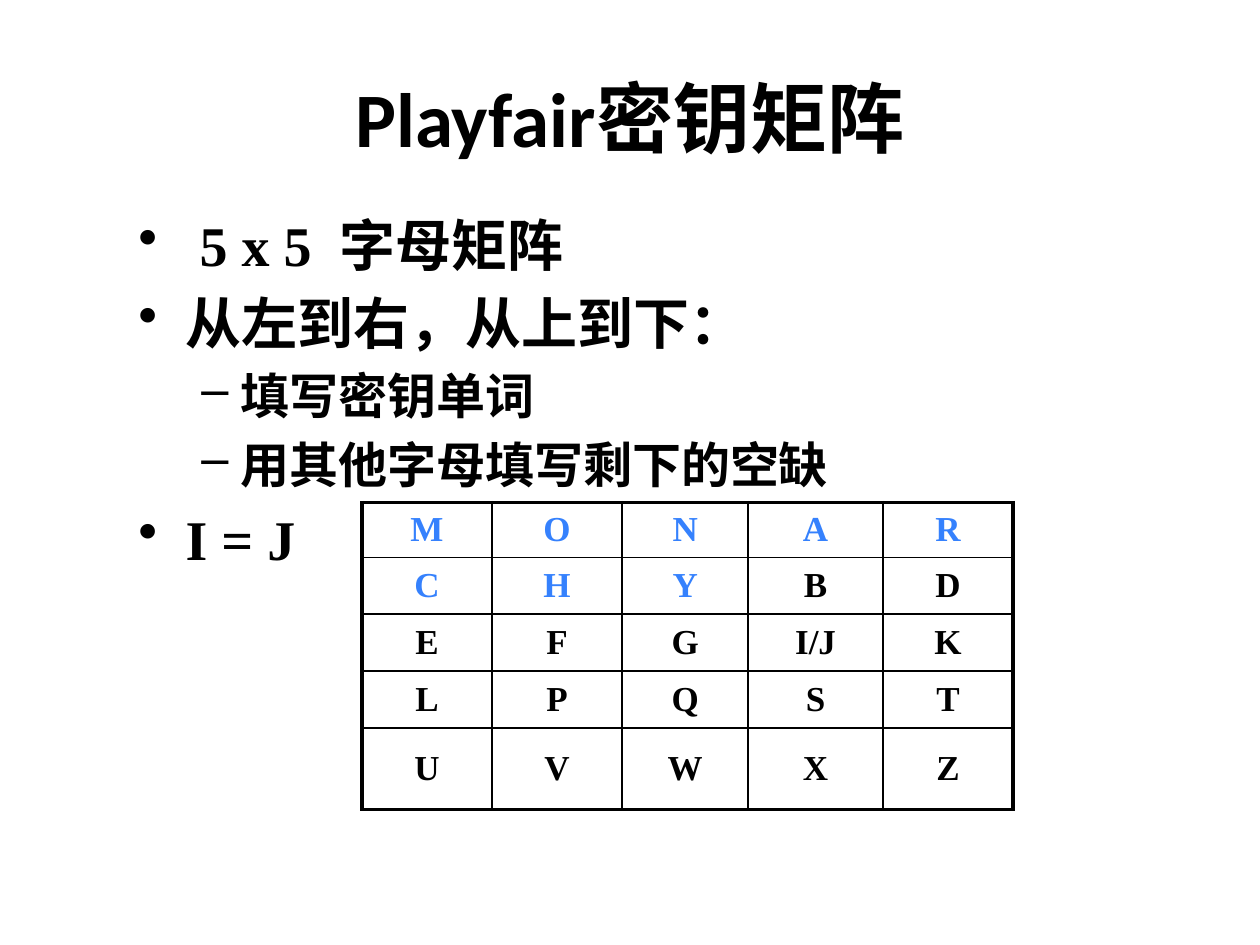
from dataclasses import dataclass

from lxml import etree
from pptx import Presentation
from pptx import util as u
from pptx.dml.color import RGBColor
from pptx.enum import text
from pptx.oxml import ns


@dataclass(frozen=True)
class Theme:
    ink: str = "000000"
    key: str = "3581FD"
    head: str = "Calibri"
    body: str = "Times New Roman"
    title: int = 44
    main: int = 32
    sub: int = 28
    cell: int = 20
    thin: float = 1
    thick: float = 2.25


def node(base, tag, **attrs):
    return etree.SubElement(base, ns.qn(tag), attrs)


class Deck:
    def __init__(self, theme):
        self.theme = theme
        self.file = Presentation()
        self.file.slide_width = u.Pt(720)
        self.file.slide_height = u.Pt(540)
        self.slide = self.file.slides.add_slide(self.file.slide_layouts[6])

    def box(self, left, top, width, height):
        shape = self.slide.shapes.add_textbox(*map(u.Pt, (left, top, width, height)))
        shape.text_frame.word_wrap = True
        return shape.text_frame

    def run(self, para, words, size, face, color):
        run = para.add_run()
        run.text = words
        run.font.size = u.Pt(size)
        run.font.name = face
        run.font.bold = True
        run.font.color.rgb = RGBColor.from_string(color)

    def space(self, para):
        props = para._p.get_or_add_pPr()
        node(node(props, "a:spcBef"), "a:spcPct", val="20000")
        return props

    def title(self, words, area):
        frame = self.box(*area)
        frame.vertical_anchor = text.MSO_ANCHOR.MIDDLE
        para = frame.paragraphs[0]
        para.alignment = text.PP_ALIGN.CENTER
        self.run(para, words, self.theme.title, self.theme.head, self.theme.ink)

    def bullets(self, items, area):
        t = self.theme
        styles = ((27, 27, "•", t.main), (58.5, 22.5, "–", t.sub))
        frame = self.box(*area)
        for n, (level, words) in enumerate(items):
            para = frame.add_paragraph() if n else frame.paragraphs[0]
            para.level = level
            left, hang, mark, size = styles[level]
            props = self.space(para)
            props.set("marL", str(u.Pt(left)))
            props.set("indent", str(-u.Pt(hang)))
            node(props, "a:buChar", char=mark)
            self.run(para, words, size, t.body, t.ink)

    def edge(self, props, side, width):
        line = node(props, "a:ln" + side, w=str(u.Pt(width)))
        node(node(line, "a:solidFill"), "a:srgbClr", val=self.theme.ink)

    def cell(self, cell, words, color, outer):
        t = self.theme
        props = cell._tc.get_or_add_tcPr()
        for side, rim in zip("LRTB", outer):
            self.edge(props, side, t.thick if rim else t.thin)
        cell.fill.background()
        cell.vertical_anchor = text.MSO_ANCHOR.MIDDLE
        para = cell.text_frame.paragraphs[0]
        para.alignment = text.PP_ALIGN.CENTER
        self.space(para)
        self.run(para, words, t.cell, t.body, color)

    def matrix(self, grid, key, left, top, cols, rows):
        area = map(u.Pt, (left, top, sum(cols), sum(rows)))
        table = self.slide.shapes.add_table(len(rows), len(cols), *area).table
        table.first_row = table.horz_banding = False
        for col, width in zip(table.columns, cols):
            col.width = u.Pt(width)
        for row, height in zip(table.rows, rows):
            row.height = u.Pt(height)
        for r, line in enumerate(grid):
            for c, words in enumerate(line):
                color = self.theme.key if words in key else self.theme.ink
                outer = (c == 0, c == len(cols) - 1, r == 0, r == len(rows) - 1)
                self.cell(table.cell(r, c), words, color, outer)


def main():
    deck = Deck(Theme())
    deck.title("Playfair密钥矩阵", (36, 21.6, 648, 90))
    deck.bullets(
        (
            (0, " 5 x 5  字母矩阵"),
            (0, "从左到右，从上到下："),
            (1, "填写密钥单词"),
            (1, "用其他字母填写剩下的空缺"),
            (0, "I = J"),
        ),
        (72, 116.6, 648, 214),
    )
    key = "MONARCHY"
    rest = [x for x in "ABCDEFGHIKLMNOPQRSTUVWXYZ" if x not in key]
    flat = ["I/J" if x == "I" else x for x in [*key, *rest]]
    grid = [flat[n:n + 5] for n in range(0, 25, 5)]
    deck.matrix(grid, key, 206.8, 287.2,
                (74.4, 74.4, 72, 77, 74.4), (29, 32.5, 32.5, 32.5, 46.8))
    deck.file.save("out.pptx")


if __name__ == "__main__":
    main()
